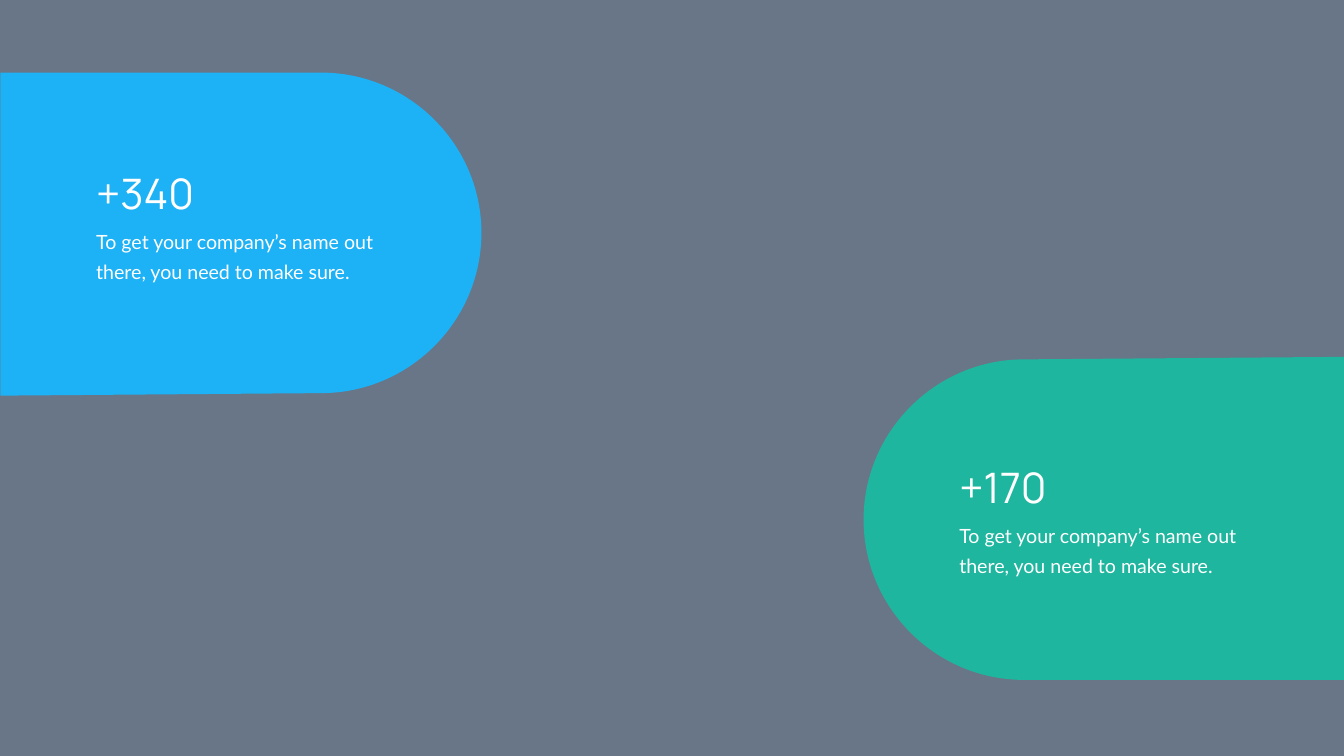
import pptx
import pptx.dml.color
import pptx.enum.shapes
import pptx.enum.text
import pptx.util
from lxml import etree
from pptx.oxml.ns import qn

RGBColor = pptx.dml.color.RGBColor
SLATE = RGBColor(0x44, 0x54, 0x69)
BLUE = RGBColor(0x1D, 0xB1, 0xF5)
GREEN = RGBColor(0x1F, 0xB6, 0x9F)
WHITE = RGBColor(0xFF, 0xFF, 0xFF)

COLUMN = ROW = pptx.util.Inches(1)
SLIDE_COLUMNS, SLIDE_ROWS = 26.66, 15
PANEL_COLUMNS, PANEL_ROWS = 9.54, 6.41
TEXT_INDENT = 1.8
FIGURE_COLUMNS, FIGURE_ROWS = 5.2, 1.11
MESSAGE_COLUMNS, MESSAGE_ROWS = 5.95, 1.25
EDGE_SLANT = 0.05
QUARTER_ARC = 0.55
MESSAGE = "To get your company’s name out there, you need to make sure."


def grid_box(left, top, width, height):
    return (round(left * COLUMN), round(top * ROW),
            round(width * COLUMN), round(height * ROW))


def paint(shape, color):
    shape.shadow.inherit = False
    shape.fill.solid()
    shape.fill.fore_color.rgb = color
    shape.line.fill.background()


def add_text(shapes, text, box, *, size, font, color=WHITE, line_spacing=None):
    textbox = shapes.add_textbox(*grid_box(*box))
    frame = textbox.text_frame
    frame.word_wrap = True
    frame.auto_size = pptx.enum.text.MSO_AUTO_SIZE.SHAPE_TO_FIT_TEXT
    paragraph = frame.paragraphs[0]
    if line_spacing:
        paragraph.line_spacing = pptx.util.Pt(line_spacing)
    run = paragraph.add_run()
    run.text = text
    run.font.size = pptx.util.Pt(size)
    run.font.name = font
    run.font.color.rgb = color


def add_backdrop(slide, box):
    backdrop = slide.shapes.add_shape(
        pptx.enum.shapes.MSO_SHAPE.RECTANGLE, *grid_box(*box))
    paint(backdrop, SLATE)
    tint = backdrop.fill._xPr.find(".//" + qn("a:srgbClr"))
    etree.SubElement(tint, qn("a:alpha"), val="80000")


def bend(segment, *points):
    curve = etree.Element(qn("a:cubicBezTo"))
    for x, y in points:
        etree.SubElement(curve, qn("a:pt"), x=str(round(x)), y=str(round(y)))
    segment.getparent().replace(segment, curve)


def add_tab(slide, box, color, rotation):
    left, top, width, height = grid_box(*box)
    arc_start = round(width * 2 / 3)
    arc_bottom = height - round(EDGE_SLANT * ROW)
    middle = round(arc_bottom / 2)
    reach_x = arc_start + (width - arc_start) * QUARTER_ARC
    reach_y = middle * QUARTER_ARC
    corners = [(arc_start, 0), (width, middle), (arc_start, arc_bottom), (0, height)]

    builder = slide.shapes.build_freeform(left, top)
    builder.add_line_segments([(left + x, top + y) for x, y in corners], close=True)
    tab = builder.convert_to_shape()
    segments = list(tab._element.iter(qn("a:lnTo")))
    bend(segments[1], (reach_x, 0), (width, middle - reach_y), corners[1])
    bend(segments[2], (width, middle + reach_y), (reach_x, arc_bottom), corners[2])
    paint(tab, color)
    tab.rotation = rotation


def add_panel(slide, box, figure, color, *, text_drop, rotation=0):
    add_tab(slide, box, color, rotation)
    text_left = box[0] + TEXT_INDENT
    text_top = box[1] + text_drop
    caption = slide.shapes.add_group_shape().shapes
    add_text(caption, MESSAGE,
             (text_left, text_top + FIGURE_ROWS, MESSAGE_COLUMNS, MESSAGE_ROWS),
             size=28, font="Lato", line_spacing=43)
    add_text(caption, figure,
             (text_left, text_top, FIGURE_COLUMNS, FIGURE_ROWS),
             size=60, font="Manrope")


def main():
    deck = pptx.Presentation()
    deck.slide_width = round(SLIDE_COLUMNS * COLUMN)
    deck.slide_height = round(SLIDE_ROWS * ROW)
    slide = deck.slides.add_slide(deck.slide_layouts[6])
    add_backdrop(slide, (0, 0, SLIDE_COLUMNS, SLIDE_ROWS))
    add_panel(slide, (0.01, 1.44, PANEL_COLUMNS, PANEL_ROWS),
              "+340", BLUE, text_drop=1.83)
    add_panel(slide, (17.13, 7.08, PANEL_COLUMNS, PANEL_ROWS),
              "+170", GREEN, text_drop=2.03, rotation=180)
    deck.save("out.pptx")


if __name__ == "__main__":
    main()
